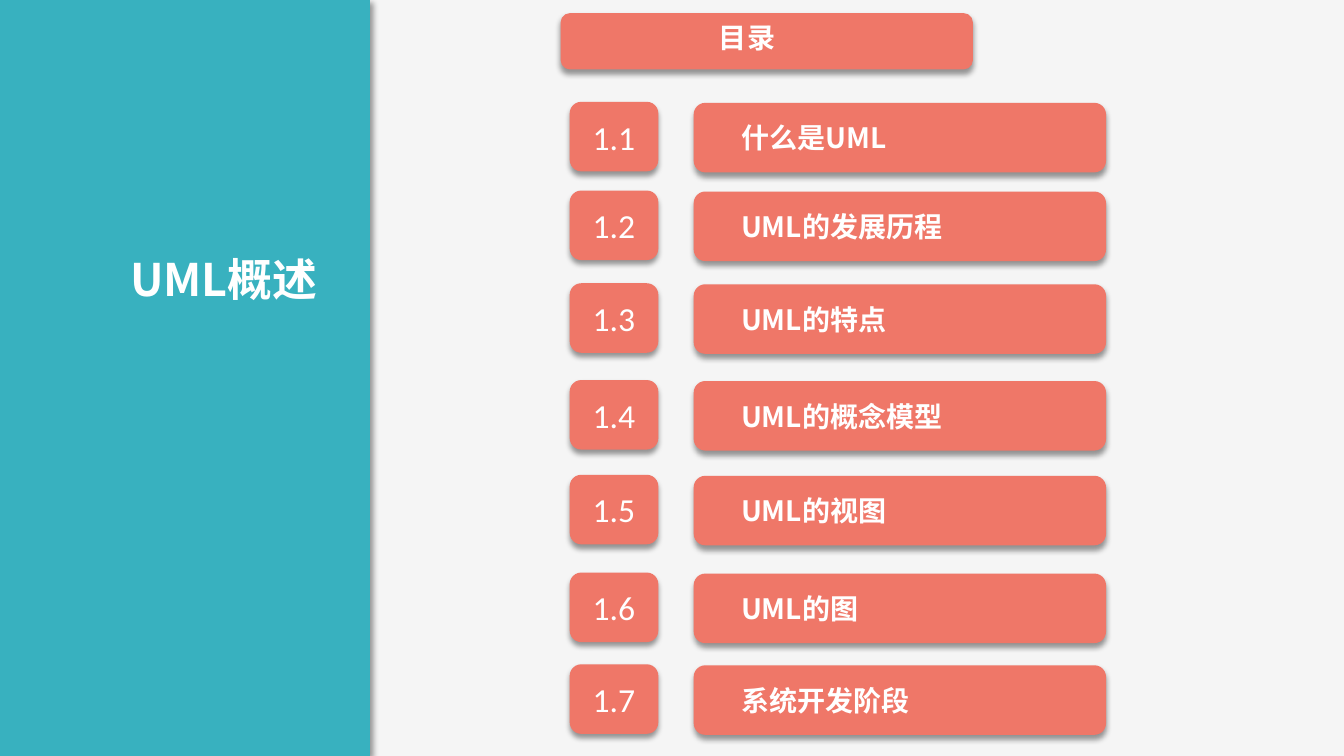
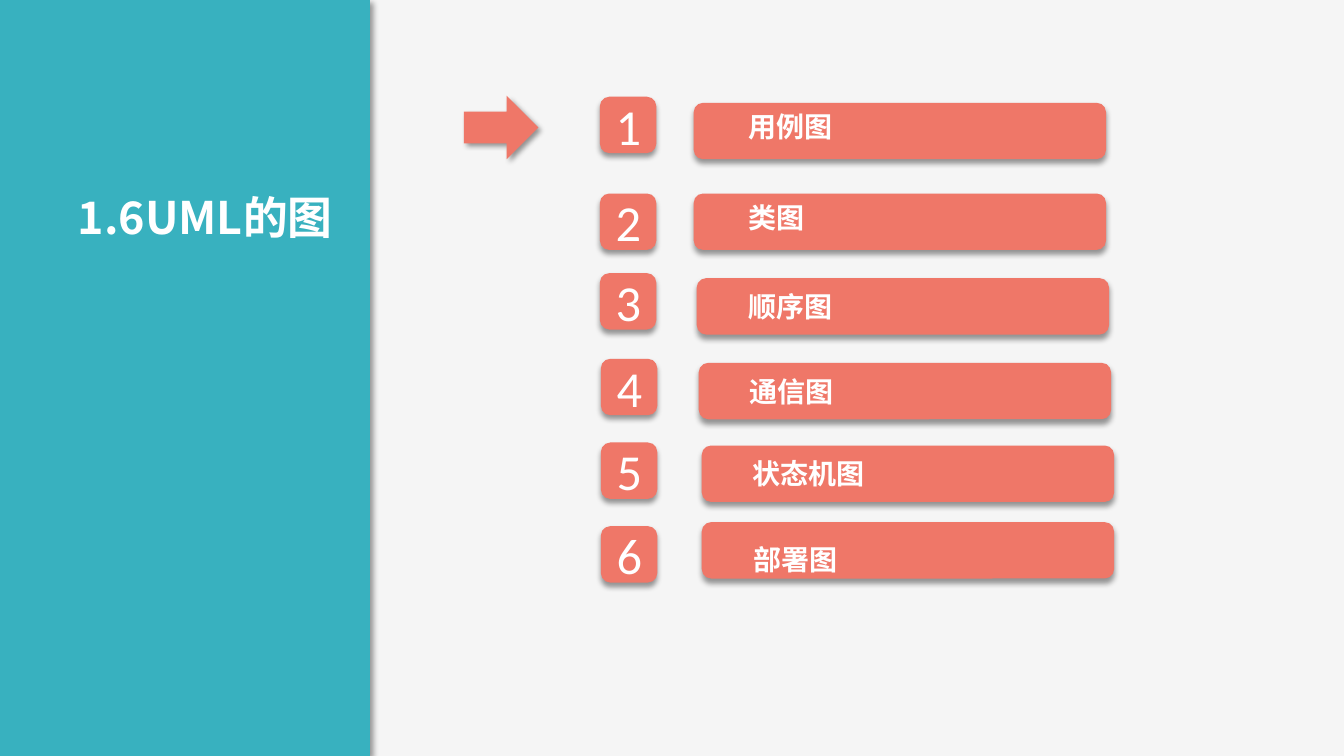
from lxml.etree import SubElement
from pptx import Presentation
from pptx.dml.color import RGBColor
from pptx.enum.shapes import MSO_SHAPE
from pptx.enum.text import MSO_ANCHOR, MSO_AUTO_SIZE, PP_ALIGN
from pptx.oxml.ns import qn
from pptx.util import Inches, Pt


def color(value):
    return RGBColor.from_string(value)


class Deck:
    CORAL = "EF7768"
    TEAL = "38B1BF"
    WHITE = "FFFFFF"
    BACKGROUND = "F5F5F5"
    HEADING_FONT = "Noto Sans CJK SC"
    NUMBER_FONT = "Calibri"
    BAR_WIDTH = 4.09
    FRAME = {
        "word_wrap": True,
        "margin_left": Inches(0.13),
        "margin_right": Inches(0.13),
        "margin_top": Inches(0.07),
        "margin_bottom": Inches(0.07),
    }

    def __init__(self):
        self.presentation = Presentation()
        self.presentation.slide_width = Inches(13.33)
        self.presentation.slide_height = Inches(7.5)
        self.slide = None

    def add_slide(self):
        self.slide = self.presentation.slides.add_slide(self.presentation.slide_layouts[6])
        fill = self.slide.background.fill
        fill.solid()
        fill.fore_color.rgb = color(self.BACKGROUND)

    def block(self, kind, left, top, width, height, fill=CORAL, shadow_angle=90):
        shape = self.slide.shapes.add_shape(
            kind, Inches(left), Inches(top), Inches(width), Inches(height))
        shape.fill.solid()
        shape.fill.fore_color.rgb = color(fill)
        shape.line.fill.background()
        shape.shadow.inherit = False
        effects = shape.element.spPr.find(qn("a:effectLst"))
        shadow = SubElement(effects, qn("a:outerShdw"), {
            "blurRad": str(Pt(4)), "dist": str(Pt(3)),
            "dir": str(shadow_angle * 60000), "algn": "ctr", "rotWithShape": "0"})
        black = SubElement(shadow, qn("a:srgbClr"), val="000000")
        SubElement(black, qn("a:alpha"), val="40000")
        return shape

    def set_text(self, shape, text, size, font, bold, align, anchor):
        frame = shape.text_frame
        for name, value in {**self.FRAME, "vertical_anchor": anchor}.items():
            setattr(frame, name, value)
        paragraph = frame.paragraphs[0]
        paragraph.alignment = align
        run = paragraph.add_run()
        run.text = text
        for name, value in {"size": Pt(size), "name": font, "bold": bold}.items():
            setattr(run.font, name, value)
        run.font.color.rgb = color(self.WHITE)
        SubElement(run.font._element, qn("a:ea"), typeface=self.HEADING_FONT)

    def label(self, text, left, top, width=2.9, height=0.47, size=20, align=PP_ALIGN.LEFT):
        box = self.slide.shapes.add_textbox(
            Inches(left), Inches(top), Inches(width), Inches(height))
        self.set_text(box, text, size, self.HEADING_FONT, True, align, MSO_ANCHOR.TOP)
        box.text_frame.auto_size = MSO_AUTO_SIZE.SHAPE_TO_FIT_TEXT

    def panel(self, title, left, top, width):
        self.block(MSO_SHAPE.RECTANGLE, 0, 0, 3.67, 7.5, self.TEAL, 45)
        self.label(title, left, top, width, 0.67, 32, PP_ALIGN.RIGHT)

    def badge(self, text, left, top, width, height, size):
        shape = self.block(MSO_SHAPE.ROUNDED_RECTANGLE, left, top, width, height)
        self.set_text(shape, text, size, self.NUMBER_FONT, False,
                      PP_ALIGN.CENTER, MSO_ANCHOR.MIDDLE)

    def bar(self, left, top, height):
        self.block(MSO_SHAPE.ROUNDED_RECTANGLE, left, top, self.BAR_WIDTH, height)

    def arrow(self, left, top, width, height):
        self.block(MSO_SHAPE.RIGHT_ARROW, left, top, width, height, shadow_angle=45)


def build_contents(deck):
    sections = [
        ("什么是UML", 1.01),
        ("UML的发展历程", 1.89),
        ("UML的特点", 2.81),
        ("UML的概念模型", 3.77),
        ("UML的视图", 4.71),
        ("UML的图", 5.68),
        ("系统开发阶段", 6.59),
    ]
    deck.add_slide()
    deck.panel("UML概述", 0.21, 2.43, 3.07)
    deck.bar(5.56, 0.13, 0.56)
    deck.label("目录", 5.96, 0.13, align=PP_ALIGN.CENTER)
    for number, (name, top) in enumerate(sections, 1):
        deck.badge(f"1.{number}", 5.65, top, 0.88, 0.69, 24)
        deck.bar(6.88, top + 0.01, 0.69)
        deck.label(name, 7.22, top + 0.12)


def build_diagrams(deck):
    diagrams = [
        ("用例图", 5.95, 0.96, 6.88, 1.02, 7.29, 1.02),
        ("类图", 5.95, 1.92, 6.88, 1.92, 7.29, 1.92),
        ("顺序图", 5.95, 2.71, 6.91, 2.76, 7.29, 2.8),
        ("通信图", 5.96, 3.56, 6.93, 3.6, 7.3, 3.65),
        ("状态机图", 5.96, 4.39, 6.96, 4.42, 7.33, 4.46),
        ("部署图", 5.96, 5.22, 6.96, 5.18, 7.34, 5.31),
    ]
    deck.add_slide()
    deck.panel("1.6UML的图", 0.52, 1.81, 2.91)
    deck.arrow(4.6, 0.95, 0.74, 0.63)
    for number, row in enumerate(diagrams, 1):
        name, badge_left, badge_top, bar_left, bar_top, label_left, label_top = row
        deck.badge(str(number), badge_left, badge_top, 0.56, 0.56, 36)
        deck.bar(bar_left, bar_top, 0.56)
        deck.label(name, label_left, label_top)


def main():
    deck = Deck()
    build_contents(deck)
    build_diagrams(deck)
    deck.presentation.save("out.pptx")


if __name__ == "__main__":
    main()
